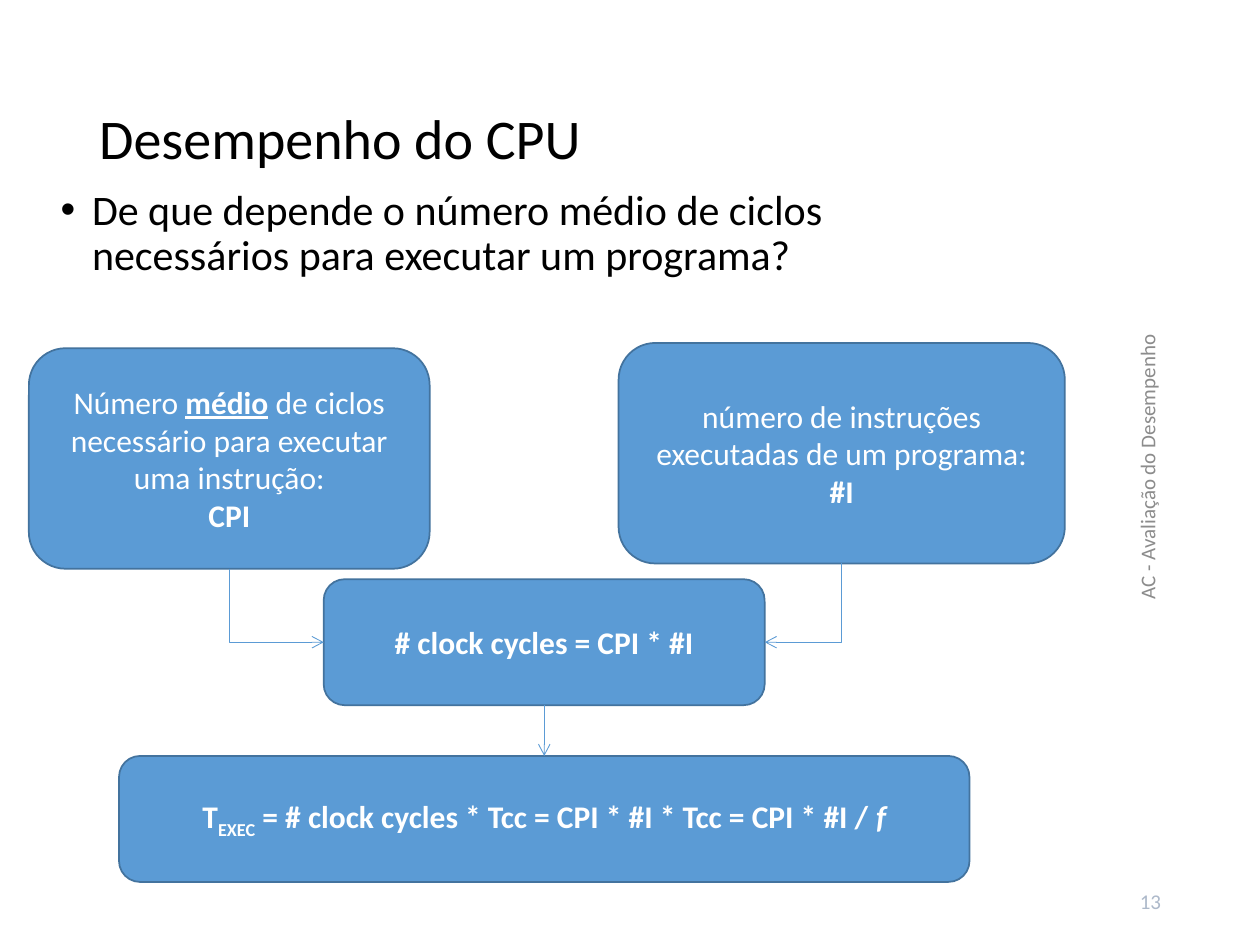
from lxml import etree
from pptx import Presentation
from pptx.dml.color import RGBColor
from pptx.enum import shapes, text
from pptx.oxml.ns import qn
from pptx.util import Pt

FONT = "Calibri"
BLUE, EDGE = "5B9BD5", "43739E"
TOP, LEFT, BOTTOM, RIGHT = range(4)


def color(hex_string):
    return RGBColor.from_string(hex_string)


def place(sp, box):
    sp.left, sp.top, sp.width, sp.height = (Pt(v) for v in box)


def write(p, runs, size, hex_string, align):
    """Fill a paragraph with (text, font attributes) runs."""
    p.alignment = align
    p.font.name, p.font.size = FONT, Pt(size)
    p.font.color.rgb = color(hex_string)
    for words, attrs in runs:
        r = p.add_run()
        r.text = words
        for name, value in attrs.items():
            if name == "baseline":
                r.font._element.set("baseline", str(value))
            else:
                setattr(r.font, name, value)


def add_title(slide, box, words):
    sp = slide.shapes.title
    place(sp, box)
    tf = sp.text_frame
    tf.auto_size = text.MSO_AUTO_SIZE.NONE
    tf.vertical_anchor = text.MSO_ANCHOR.MIDDLE
    p = tf.paragraphs[0]
    p.line_spacing = 0.9
    write(p, [(words, {})], 32, "000000", text.PP_ALIGN.LEFT)


def add_label(slide, box, words, size, hex_string, align, anchor=text.MSO_ANCHOR.MIDDLE):
    sp = slide.shapes.add_textbox(*(Pt(v) for v in box))
    tf = sp.text_frame
    tf.word_wrap = True
    tf.vertical_anchor = anchor
    write(tf.paragraphs[0], [(words, {})], size, hex_string, align)
    return sp


def add_question(slide, box, words):
    sp = add_label(slide, box, words, 24, "000000", text.PP_ALIGN.LEFT, text.MSO_ANCHOR.TOP)
    p = sp.text_frame.paragraphs[0]
    p.line_spacing, p.space_before = 0.9, Pt(10)
    pPr = p._p.get_or_add_pPr()
    pPr.set("marL", str(Pt(18)))
    pPr.set("indent", str(-Pt(18)))
    bullet_font = etree.Element(qn("a:buFont"), typeface="Arial")
    bullet = etree.Element(qn("a:buChar"), char="•")
    pPr.find(qn("a:spcBef")).addnext(bullet_font)
    bullet_font.addnext(bullet)


def add_step(slide, box, lines):
    sp = slide.shapes.add_shape(shapes.MSO_SHAPE.ROUNDED_RECTANGLE, *(Pt(v) for v in box))
    sp.shadow.inherit = False
    sp.fill.solid()
    sp.fill.fore_color.rgb = color(BLUE)
    sp.line.color.rgb, sp.line.width = color(EDGE), Pt(1)
    tf = sp.text_frame
    tf.word_wrap = True
    tf.vertical_anchor = text.MSO_ANCHOR.MIDDLE
    for i, runs in enumerate(lines):
        p = tf.add_paragraph() if i else tf.paragraphs[0]
        write(p, runs, 18, "FFFFFF", text.PP_ALIGN.CENTER)
    return sp


def add_arrow(slide, start, start_side, end, end_side, kind=shapes.MSO_CONNECTOR.STRAIGHT):
    cxn = slide.shapes.add_connector(kind, 0, 0, 0, 0)
    cxn.begin_connect(start, start_side)
    cxn.end_connect(end, end_side)
    cxn.line.color.rgb, cxn.line.width = color(BLUE), Pt(0.5)
    etree.SubElement(cxn.line._get_or_add_ln(), qn("a:tailEnd"), type="arrow")
    etree.SubElement(cxn._element.spPr, qn("a:effectLst"))
    return cxn


def add_corner_arrow(slide, start, end, end_side):
    """Run down from start, then sideways into end, with a single bend."""
    cxn = add_arrow(slide, start, BOTTOM, end, end_side, shapes.MSO_CONNECTOR.ELBOW)
    across, down = cxn.width, cxn.height
    center_x, center_y = cxn.left + across // 2, cxn.top + down // 2
    spPr = cxn._element.spPr
    spPr.find(qn("a:prstGeom")).set("prst", "bentConnector2")
    # The preset runs across first, so it is turned a quarter
    cxn.left, cxn.top = center_x - down // 2, center_y - across // 2
    cxn.width, cxn.height = down, across
    to_right = end_side == LEFT
    xfrm = spPr.find(qn("a:xfrm"))
    xfrm.set("rot", str((270 if to_right else 90) * 60000))
    xfrm.set("flipH", "1" if to_right else "0")


def add_flow(slide, box):
    """Two factors feed the cycle count, which feeds the execution time."""
    x, y, w, h = box
    bold = {"bold": True}
    cpi = add_step(slide, (x, y + 3, 229, 126), [
        [("Número ", {}), ("médio", {"bold": True, "underline": True}),
         (" de ciclos necessário para executar uma instrução:", {})],
        [("CPI", bold)]])
    count = add_step(slide, (x + w - 255, y, 255, 126), [
        [("número de instruções executadas de um programa:", {})],
        [("#I", bold)]])
    cycles = add_step(slide, (x + 168.5, y + h - 173, 252, 72),
                      [[("# clock cycles = CPI * #I", bold)]])
    time = add_step(slide, (x + 51.5, y + h - 72, 486, 72), [[
        ("T", bold), ("EXEC", {"bold": True, "baseline": -25000}),
        (" = # clock cycles * Tcc = CPI * #I * Tcc = CPI * #I / ", bold),
        ("f", {"bold": True, "italic": True})]])
    add_corner_arrow(slide, cpi, cycles, LEFT)
    add_corner_arrow(slide, count, cycles, RIGHT)
    add_arrow(slide, cycles, BOTTOM, time, TOP)


def main():
    prs = Presentation()
    prs.slide_width, prs.slide_height = Pt(720), Pt(540)
    slide = prs.slides.add_slide(prs.slide_layouts[5])

    # Heading and question
    add_title(slide, (49.5, 28.75, 621, 104.4), "Desempenho do CPU")
    add_question(slide, (27.5, 104.4, 558, 78),
                 "De que depende o número médio de ciclos necessários para executar um programa?")

    # Page number and sideways footer
    add_label(slide, (508.5, 500.5, 162, 28.75), "13", 12, "ADB9CA", text.PP_ALIGN.RIGHT)
    footer = add_label(slide, (454.5, 252.5, 402, 28.75), "AC - Avaliação do Desempenho",
                       12, "8C8C8C", text.PP_ALIGN.CENTER)
    footer.rotation = 270

    # Diagram
    add_flow(slide, (16.5, 196, 592, 308))
    prs.save("out.pptx")


if __name__ == "__main__":
    main()
